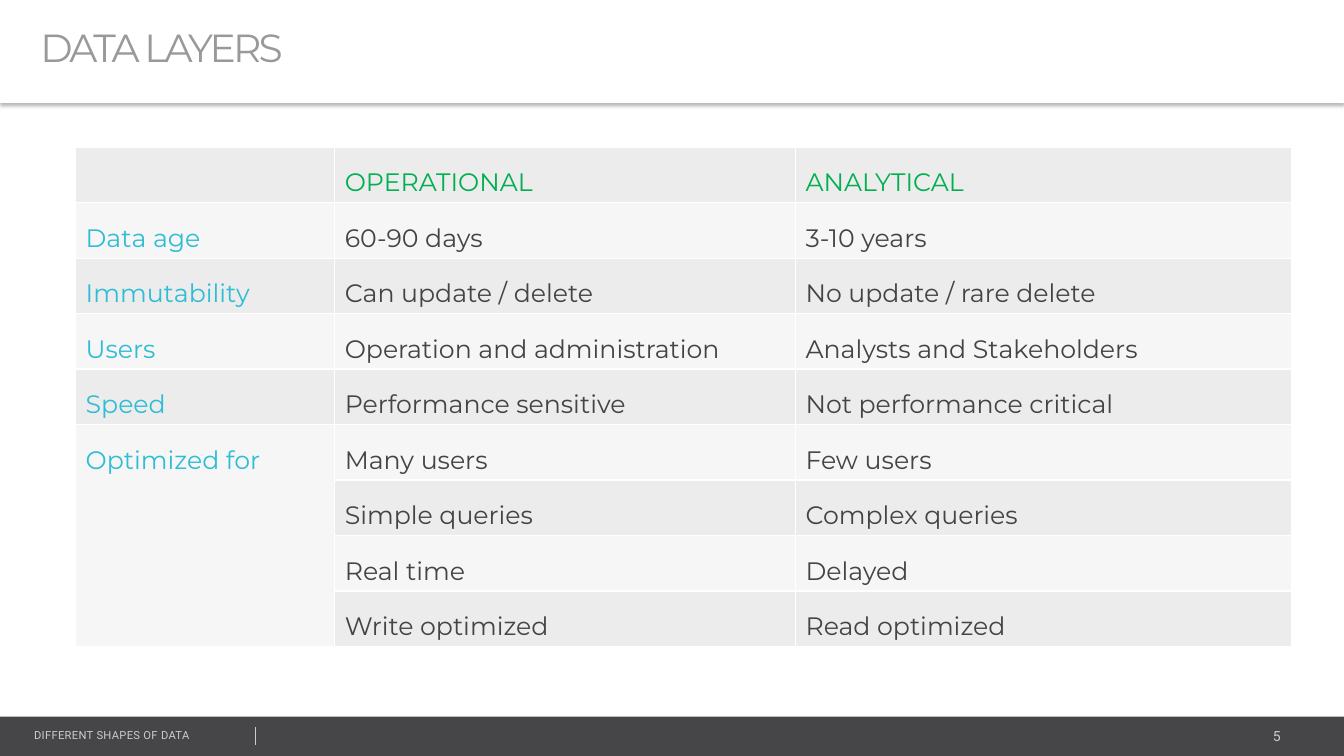
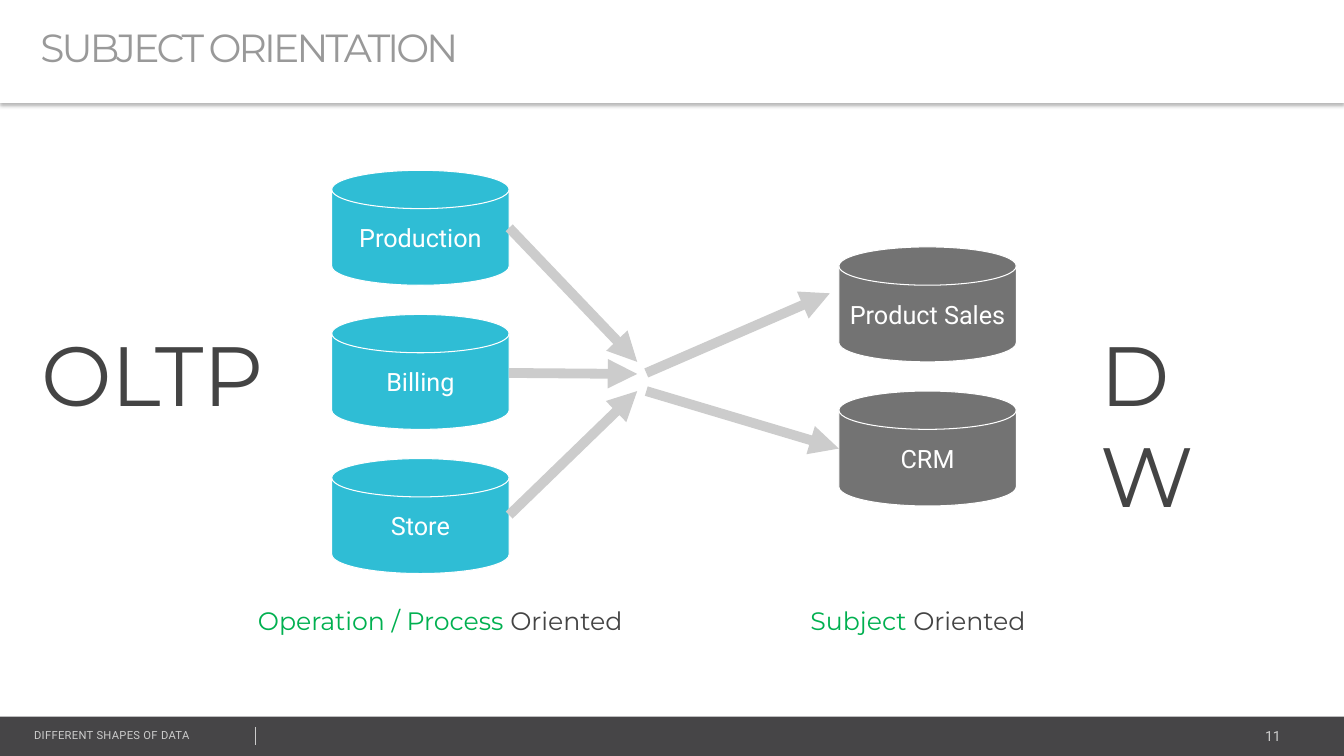
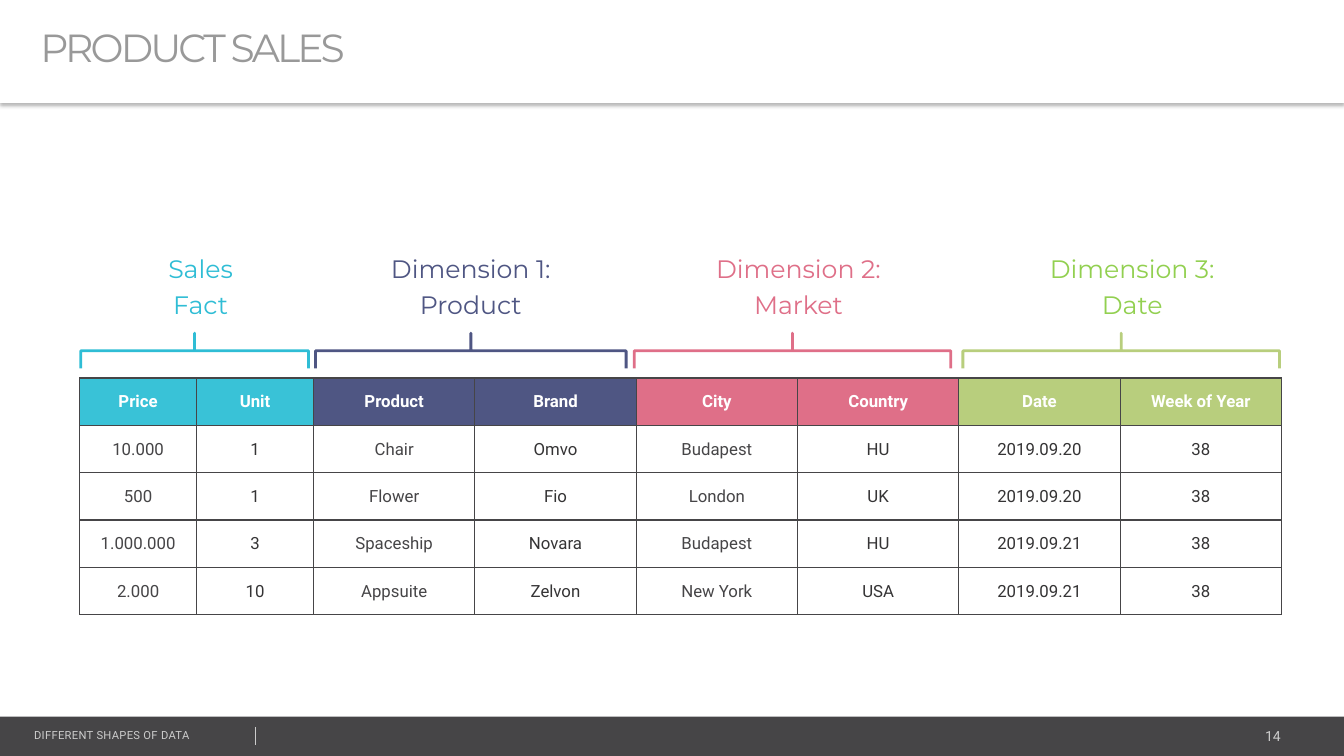
from lxml import etree
from pptx import Presentation
from pptx.dml.color import RGBColor
from pptx.enum.shapes import MSO_CONNECTOR, MSO_SHAPE
from pptx.enum.text import MSO_ANCHOR, MSO_AUTO_SIZE, PP_ALIGN
from pptx.oxml import parse_xml
from pptx.oxml.ns import nsdecls, qn
from pptx.util import Inches, Pt

STRAIGHT = MSO_CONNECTOR.STRAIGHT
RECTANGLE, DISK, BRACE = (
    MSO_SHAPE.RECTANGLE, MSO_SHAPE.FLOWCHART_MAGNETIC_DISK, MSO_SHAPE.LEFT_BRACE)
TOP, MIDDLE = MSO_ANCHOR.TOP, MSO_ANCHOR.MIDDLE
LEFT, CENTER, RIGHT = PP_ALIGN.LEFT, PP_ALIGN.CENTER, PP_ALIGN.RIGHT
NO_AUTOFIT = MSO_AUTO_SIZE.NONE

COLORS = {
    "white": "FFFFFF", "black": "000000", "charcoal": "464547", "ink": "353435",
    "text": "444444", "title": "999999", "light": "CCCCCC", "disk": "737373",
    "green": "00B050", "lime": "92D050", "cyan": "2FBDD5", "fact": "39C2D7",
    "navy": "4F5683", "rose": "DF6F88", "olive": "B8CE7D",
    "band_dark": "ECECEC", "band_light": "F6F6F6",
}
HEADING, PLAIN = "Montserrat", "Roboto"
WIDTH, HEIGHT = 13.33, 7.5


# Formatting helpers
def color(name):
    return RGBColor.from_string(COLORS[name])


def apply(target, values):
    for name, value in values.items():
        setattr(target, name, value)


def paint(shape, fill=None, line=None, weight=1):
    shape.shadow.inherit = False
    for part, name in ((shape.fill, fill), (shape.line.fill, line)):
        if name:
            part.solid()
            part.fore_color.rgb = color(name)
        else:
            part.background()
    if line:
        shape.line.width = Pt(weight)


def write(frame, lines, font, para_format=None, spacing=None):
    """Each line is a list of (text, colour name) spans."""
    for index, spans in enumerate(lines):
        para = frame.paragraphs[0] if index == 0 else frame.add_paragraph()
        apply(para, para_format or {})
        for text, shade in spans:
            span = para.add_run()
            span.text = text
            apply(span.font, font)
            span.font.color.rgb = color(shade)
            if spacing:
                span.font._element.set("spc", str(int(spacing * 100)))


# Elements
def add_text(page, box, lines, font, para_format=None, spacing=None):
    shape = page.shapes.add_textbox(*map(Inches, box))
    shape.text_frame.word_wrap = True
    write(shape.text_frame, lines, font, para_format, spacing)
    return shape


def add_line(page, start, end, weight, arrow=False):
    line = page.shapes.add_connector(STRAIGHT, *map(Inches, (*start, *end)))
    line.line.color.rgb = color("light")
    line.line.width = Pt(weight)
    if arrow:
        etree.SubElement(line.line._get_or_add_ln(), qn("a:tailEnd"), type="triangle")
    etree.SubElement(line._element.spPr, qn("a:effectLst"))
    return line


def add_disk(page, left, top, label, fill):
    disk = page.shapes.add_shape(DISK, *map(Inches, (left, top, 1.76, 1.14)))
    paint(disk, fill, "white", 0.75)
    apply(disk.text_frame, {"vertical_anchor": MIDDLE, "word_wrap": True,
                            "margin_left": Inches(0.05), "margin_right": Inches(0.05)})
    write(disk.text_frame, [[(label, "white")]], {"name": PLAIN, "size": Pt(18)},
          {"alignment": CENTER})


def add_bracket(page, center, width, shade):
    depth, middle = 0.35, 3.48
    box = (center - depth / 2, middle - width / 2, depth, width)
    bracket = page.shapes.add_shape(BRACE, *map(Inches, box))
    bracket.rotation = 90
    bracket.adjustments[0], bracket.adjustments[1] = 0, 0.5
    paint(bracket, line=shade, weight=2)


def add_table(page, corner, widths, row_height, row_count):
    box = (*corner, sum(widths), row_height * row_count)
    table = page.shapes.add_table(row_count, len(widths), *map(Inches, box)).table
    apply(table, {"first_row": False, "horz_banding": False})
    for column, width in zip(table.columns, widths):
        column.width = Inches(width)
    return table


def format_cell(cell, fill, border):
    properties = cell._tc.get_or_add_tcPr()
    for side in ("lnL", "lnR", "lnT", "lnB"):
        properties.append(parse_xml(
            f'<a:{side} {nsdecls("a")} w="12700"><a:solidFill>'
            f'<a:srgbClr val="{COLORS[border]}"/></a:solidFill></a:{side}>'))
    cell.fill.solid()
    cell.fill.fore_color.rgb = color(fill)


# Shared frame: footer on the layout, title band and number on each slide
def build_footer(page):
    layout = page.slide_layout
    for placeholder in list(layout.placeholders)[1:]:
        layout.shapes.element.remove(placeholder.element)
    band = page.shapes.add_shape(RECTANGLE, *map(Inches, (0, 7.11, WIDTH, 0.39)))
    paint(band, "charcoal")
    caption = add_text(page, (0.24, 7.18, 2.2, 0.24),
                       [[("DIFFERENT SHAPES OF DATA", "light")]],
                       {"name": PLAIN, "size": Pt(8)}, spacing=0.2)
    divider = add_line(page, (2.53, 7.21), (2.53, 7.39), 0.25)
    for shape in (band, caption, divider):
        layout.shapes.element.append(shape.element)


def add_page(deck, title, number):
    page = deck.slides.add_slide(deck.slide_layouts[5])
    if len(deck.slides) == 1:
        build_footer(page)
    band = page.shapes.title
    apply(band, {"left": 0, "top": 0, "width": Inches(WIDTH), "height": Inches(1.02)})
    paint(band, "white")
    effects = band._element.spPr.find(qn("a:effectLst"))
    effects.append(parse_xml(
        f'<a:outerShdw {nsdecls("a")} blurRad="{Pt(3.1)}" dist="{Pt(2)}" dir="5400000" '
        f'algn="t" rotWithShape="0"><a:srgbClr val="{COLORS["black"]}">'
        '<a:alpha val="30000"/></a:srgbClr></a:outerShdw>'))
    apply(band.text_frame, {"auto_size": NO_AUTOFIT, "vertical_anchor": MIDDLE,
                            "margin_left": Inches(0.4), "margin_right": Inches(0.1)})
    write(band.text_frame, [[(title, "title")]], {"name": HEADING, "size": Pt(28)},
          {"alignment": LEFT, "line_spacing": 0.8, "space_before": Pt(0)}, -2)
    add_text(page, (10.62, 7.17, 2.18, 0.27), [[(str(number), "light")]],
             {"name": PLAIN, "size": Pt(10)}, {"alignment": RIGHT})
    return page


# Slides
def build_layers(deck):
    page = add_page(deck, "DATA LAYERS", 5)
    rows = [
        ("", "OPERATIONAL", "ANALYTICAL"),
        ("Data age", "60-90 days", "3-10 years"),
        ("Immutability", "Can update / delete", "No update / rare delete"),
        ("Users", "Operation and administration", "Analysts and Stakeholders"),
        ("Speed", "Performance sensitive", "Not performance critical"),
        ("Optimized for", "Many users", "Few users"),
        ("", "Simple queries", "Complex queries"),
        ("", "Real time", "Delayed"),
        ("", "Write optimized", "Read optimized"),
    ]
    table = add_table(page, (0.75, 1.46), (2.57, 4.57, 4.92), 0.5, len(rows))
    for r, row in enumerate(rows):
        for c, text in enumerate(row):
            cell = table.cell(r, c)
            format_cell(cell, "band_light" if r % 2 else "band_dark", "white")
            shade = "cyan" if c == 0 else "text" if r else "green"
            if text:
                write(cell.text_frame, [[(text, shade)]],
                      {"name": HEADING, "size": Pt(18)}, {"line_spacing": 1.5})
    table.cell(5, 0).merge(table.cell(8, 0))


def build_orientation(deck):
    page = add_page(deck, "SUBJECT ORIENTATION", 11)
    # Databases
    groups = [
        (3.29, 1.69, "cyan", ("Production", "Billing", "Store")),
        (8.32, 2.45, "disk", ("Product Sales", "CRM")),
    ]
    for left, top, fill, labels in groups:
        for index, label in enumerate(labels):
            add_disk(page, left, top + 1.43 * index, label, fill)
    # Flows
    flows = [
        ((5.05, 2.26), (6.32, 3.59)),
        ((5.05, 3.7), (6.32, 3.71)),
        ((5.05, 5.11), (6.32, 3.88)),
        ((6.41, 3.7), (8.23, 2.91)),
        ((6.41, 3.88), (8.32, 4.45)),
    ]
    for start, end in flows:
        add_line(page, start, end, 7, arrow=True)
    # Names and captions
    for left, width, name in ((0.31, 2.64, "OLTP"), (10.82, 1.5, "DW")):
        add_text(page, (left, 3.15, width, 1.11), [[(name, "text")]],
                 {"name": HEADING, "size": Pt(60)})
    for left, width, focus in ((2.46, 4.19, "Operation / Process"), (7.94, 2.53, "Subject")):
        add_text(page, (left, 5.96, width, 0.4),
                 [[(focus, "green"), (" Oriented", "text")]],
                 {"name": HEADING, "size": Pt(18)})


def build_sales(deck):
    page = add_page(deck, "PRODUCT SALES", 14)
    rows = [
        ("Price", "Unit", "Product", "Brand", "City", "Country", "Date", "Week of Year"),
        ("10.000", "1", "Chair", "Omvo", "Budapest", "HU", "2019.09.20", "38"),
        ("500", "1", "Flower", "Fio", "London", "UK", "2019.09.20", "38"),
        ("1.000.000", "3", "Spaceship", "Novara", "Budapest", "HU", "2019.09.21", "38"),
        ("2.000", "10", "Appsuite", "Zelvon", "New York", "USA", "2019.09.21", "38"),
    ]
    header_fills = ("fact", "navy", "rose", "olive")
    table = add_table(page, (0.79, 3.75), [1.16] * 2 + [1.6] * 6, 0.47, len(rows))
    margin = Inches(0.01)
    for r, row in enumerate(rows):
        for c, text in enumerate(row):
            cell = table.cell(r, c)
            format_cell(cell, "white" if r else header_fills[c // 2], "charcoal")
            apply(cell, {"vertical_anchor": MIDDLE, "margin_left": margin,
                         "margin_right": margin, "margin_top": margin, "margin_bottom": 0})
            body = "charcoal" if c in (0, 2, 4) else "ink"
            write(cell.text_frame, [[(text, body if r else "white")]],
                  {"name": PLAIN, "size": Pt(12), "bold": r == 0}, {"alignment": CENTER})
    # Brackets: centre, width, colour; labels: centre, colour, lines
    groups = [
        (1.93, 2.26, "cyan", 1.99, "cyan", ("Sales", "Fact")),
        (4.67, 3.08, "navy", 4.67, "navy", ("Dimension 1:", "Product")),
        (7.86, 3.14, "rose", 7.92, "rose", ("Dimension 2:", "Market")),
        (11.12, 3.14, "olive", 11.23, "lime", ("Dimension 3:", "Date")),
    ]
    for center, width, line, label_center, shade, lines in groups:
        add_bracket(page, center, width, line)
        add_text(page, (label_center - 1, 2.4, 2, 0.8), [[(text, shade)] for text in lines],
                 {"name": HEADING, "size": Pt(18)},
                 {"alignment": CENTER, "line_spacing": 1.2})


def main():
    deck = Presentation()
    deck.slide_width, deck.slide_height = Inches(WIDTH), Inches(HEIGHT)
    for build in (build_layers, build_orientation, build_sales):
        build(deck)
    deck.save("out.pptx")


if __name__ == "__main__":
    main()
